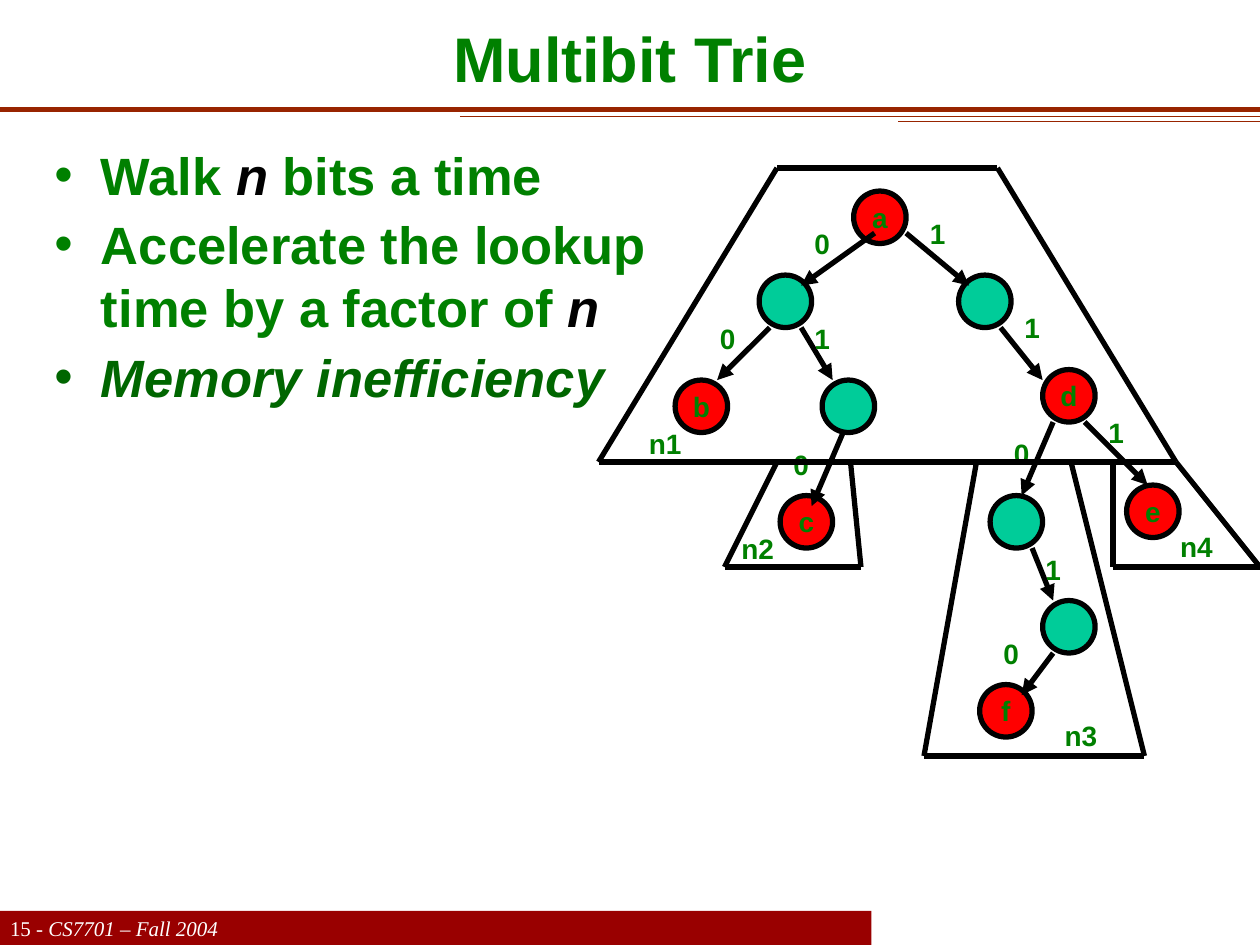
from lxml.etree import SubElement
from pptx import Presentation
from pptx.dml.color import RGBColor
from pptx.enum.shapes import MSO_CONNECTOR, MSO_SHAPE
from pptx.enum.text import MSO_ANCHOR, PP_ALIGN
from pptx.oxml import parse_xml
from pptx.oxml.ns import nsdecls, qn
from pptx.util import Inches, Pt

GREEN = RGBColor(0x00, 0x80, 0x00)
DARK = RGBColor(0x00, 0x66, 0x00)
BLACK = RGBColor(0x00, 0x00, 0x00)
WHITE = RGBColor(0xFF, 0xFF, 0xFF)
RED = RGBColor(0xFF, 0x00, 0x00)
TEAL = RGBColor(0x00, 0xCC, 0x99)
RUST = RGBColor(0x98, 0x24, 0x00)
MAROON = RGBColor(0x99, 0x00, 0x00)

WIDE, HIGH = 120, 90
CELL = Inches(10) / WIDE
NODE = 5
ROW = 4.4

NODES = [
    ("a", 24, 2), ("", 15, 10), ("", 34, 10), ("b", 7, 20),
    ("", 21, 20), ("d", 42, 19), ("c", 17, 31), ("e", 50, 30),
    ("", 37, 31), ("", 42, 41), ("f", 36, 49),
]
EDGES = [
    ((26, 6), (19, 11)), ((16, 15), (11, 20)), ((29, 6), (35, 11)),
    ((19, 15), (22, 20)), ((23, 25), (20, 32)), ((38, 15), (42, 20)),
    ((46, 24), (52, 30)), ((43, 24), (40, 31)), ((41, 36), (43, 41)),
    ((43, 46), (40, 50)),
]
BITS = [
    ("0", 17, 5), ("0", 8, 14), ("1", 28, 4), ("1", 17, 14), ("0", 15, 26),
    ("1", 37, 13), ("1", 45, 23), ("0", 36, 25), ("1", 39, 36), ("0", 35, 44),
]
FRAMES = [
    [(38, 0), (17, 0), (0, 28), (55, 28), (38, 0)],
    [(49, 28), (49, 38), (63, 38), (55, 28)],
    [(17, 28), (12, 38), (25, 38), (24, 28)],
    [(36, 28), (31, 56), (52, 56), (45, 28)],
]
NAMES = [("n1", 1.2, 24), ("n2", 10, 34), ("n4", 51.8, 33.8), ("n3", 40.8, 51.8)]
POINTS = [
    [("Walk ", GREEN, False), ("n", BLACK, True), (" bits a time", GREEN, False)],
    [("Accelerate the lookup time by a factor of ", GREEN, False), ("n", BLACK, True)],
    [("Memory inefficiency", DARK, True)],
]


def grid(*cells):
    return [round(cell * CELL) for cell in cells]


def add_run(para, text, size, color, bold=True, slant=False, face="Arial"):
    run = para.add_run()
    run.text = text
    font = run.font
    font.name, font.size, font.bold, font.italic = face, Pt(size), bold, slant
    font.color.rgb = color


def set_frame(frame, side, anchor=MSO_ANCHOR.TOP, wrap=True):
    frame.margin_left = frame.margin_right = Inches(side)
    frame.margin_top = frame.margin_bottom = Inches(0.05)
    frame.vertical_anchor = anchor
    frame.word_wrap = wrap
    return frame.paragraphs[0]


def add_line(slide, start, end, color=BLACK, width=3, arrow=False):
    line = slide.shapes.add_connector(MSO_CONNECTOR.STRAIGHT, *grid(*start, *end))
    line.line.color.rgb = color
    line.line.width = Pt(width)
    props = line._element.spPr
    if arrow:
        SubElement(props.find(qn("a:ln")), qn("a:tailEnd"), type="triangle")
    SubElement(props, qn("a:effectLst"))


def add_shape(slide, kind, box, fill):
    shape = slide.shapes.add_shape(kind, *grid(*box))
    shape.shadow.inherit = False
    shape.fill.solid()
    shape.fill.fore_color.rgb = fill
    return shape


def add_label(slide, text, box):
    label = slide.shapes.add_textbox(*grid(*box))
    para = set_frame(label.text_frame, 0.05)
    para.alignment = PP_ALIGN.CENTER
    add_run(para, text, 16, GREEN)


def add_node(slide, text, box):
    node = add_shape(slide, MSO_SHAPE.OVAL, box, RED if text else TEAL)
    node.line.color.rgb = BLACK
    node.line.width = Pt(3)
    if text:
        para = set_frame(node.text_frame, 0.3, MSO_ANCHOR.MIDDLE, False)
        para.alignment = PP_ALIGN.CENTER
        add_run(para, text, 16, GREEN)


def add_title(slide, box):
    title = slide.shapes.add_textbox(*grid(*box))
    para = set_frame(title.text_frame, 0.3, MSO_ANCHOR.MIDDLE)
    para.alignment = PP_ALIGN.CENTER
    add_run(para, "Multibit Trie", 36, GREEN)


def add_rules(slide, box):
    left, top, width, height = box
    for share, drop, thick in [(0, 0, 3), (0.365, 0.6, 0.75), (0.713, 1, 0.5)]:
        level = top + drop * height
        add_line(slide, (left + share * width, level), (left + width, level), RUST, thick)


def add_points(slide, box):
    body = slide.shapes.add_textbox(*grid(*box)).text_frame
    set_frame(body, 0.1)
    for index, runs in enumerate(POINTS):
        para = body.add_paragraph() if index else body.paragraphs[0]
        para.space_before = Pt(3.7)
        props = para._p.get_or_add_pPr()
        props.set("marL", str(Inches(0.37)))
        props.set("indent", str(-Inches(0.37)))
        space = nsdecls("a")
        props.append(parse_xml(f'<a:buClr {space}><a:srgbClr val="{runs[0][1]}"/></a:buClr>'))
        props.append(parse_xml(f'<a:buFont {space} typeface="Arial"/>'))
        props.append(parse_xml(f'<a:buChar {space} char="•"/>'))
        for text, color, slant in runs:
            add_run(para, text, 30, color, slant=slant)


def add_trie(slide, box):
    left, top = box[:2]
    shift, drop = left + 0.3, top + 0.2
    for text, col, row in NODES:
        add_node(slide, text, (shift + col, drop + row, NODE, NODE))
    for start, end in EDGES:
        ends = [(shift + col, drop + row) for col, row in (start, end)]
        add_line(slide, *ends, arrow=True)
    for text, col, row in BITS:
        add_label(slide, text, (left + col, top + row, 8.6, ROW))
    for frame in FRAMES:
        spots = [(left + col, top + row) for col, row in frame]
        for start, end in zip(spots, spots[1:]):
            add_line(slide, start, end)
    for text, col, row in NAMES:
        add_label(slide, text, (left + col, top + row, 10.3, ROW))


def add_footer(slide, box):
    bar = add_shape(slide, MSO_SHAPE.RECTANGLE, box, MAROON)
    bar.line.fill.background()
    frame = bar.text_frame
    para = set_frame(frame, 0.08, MSO_ANCHOR.MIDDLE)
    frame.margin_top = frame.margin_bottom = 0
    para.alignment = PP_ALIGN.LEFT
    for text, slant in [("15", False), (" - CS7701 – Fall 2004", True)]:
        add_run(para, text, 12, WHITE, False, slant, "Times New Roman")


def main():
    deck = Presentation()
    deck.slide_width, deck.slide_height = grid(WIDE, HIGH)
    slide = deck.slides.add_slide(deck.slide_layouts[6])
    add_footer(slide, (0, 86.75, 83, 3.25))
    add_rules(slide, (0, 10.4, WIDE, 1.2))
    add_title(slide, (0, 0, WIDE, 11))
    add_trie(slide, (57, 16, 63, 56))
    add_points(slide, (4, 13, 59, 72))
    deck.save("out.pptx")


if __name__ == "__main__":
    main()
